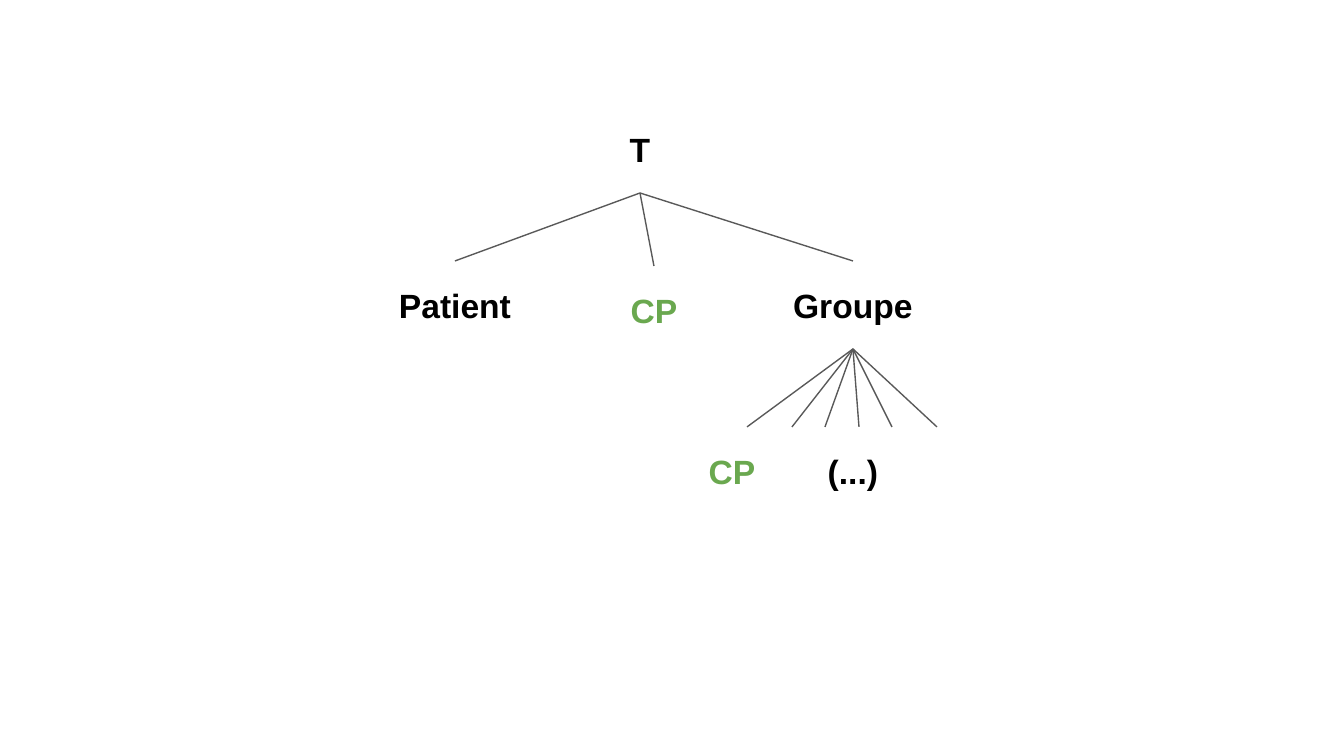
from dataclasses import dataclass

from lxml.etree import SubElement
from pptx import Presentation
from pptx.dml.color import RGBColor
from pptx.enum.shapes import MSO_CONNECTOR as Connector
from pptx.enum.text import MSO_ANCHOR as Anchor, PP_ALIGN as Align
from pptx.oxml.ns import qn
from pptx.shapes.autoshape import Shape
from pptx.shapes.connector import Connector as ConnectorShape
from pptx.slide import Slide
from pptx.util import Emu, Pt

EMU_PER_PX = 914400 / 134.4
SLIDE_WIDTH, SLIDE_HEIGHT = 1344, 756
NODE_WIDTH, NODE_HEIGHT, NODE_INSET = 154, 88, 13
TOP, BOTTOM = 0, 2  # connection sites
COLORS = {"text": "000000", "accent": "6AA84F", "line": "595959"}


@dataclass(frozen=True)
class Node:
    label: str
    center: int
    top: int
    color: str = "text"

    @property
    def bottom(self) -> int:
        return self.top + NODE_HEIGHT


def px(length: int) -> Emu:
    return Emu(round(length * EMU_PER_PX))


def color(name: str) -> RGBColor:
    return RGBColor.from_string(COLORS[name])


def draw_node(slide: Slide, node: Node) -> Shape:
    shape = slide.shapes.add_textbox(
        px(node.center - NODE_WIDTH // 2), px(node.top), px(NODE_WIDTH), px(NODE_HEIGHT))
    frame = shape.text_frame
    frame.word_wrap = True
    frame.vertical_anchor = Anchor.MIDDLE
    frame.margin_left = frame.margin_right = px(NODE_INSET)
    frame.margin_top = frame.margin_bottom = px(NODE_INSET)
    paragraph = frame.paragraphs[0]
    paragraph.alignment = Align.CENTER
    run = paragraph.add_run()
    run.text = node.label
    run.font.name = "Arial"
    run.font.size = Pt(18)
    run.font.bold = True
    run.font.color.rgb = color(node.color)
    return shape


def draw_branch(slide: Slide, parent: Node, parent_shape: Shape,
                end_x: int, end_y: int) -> ConnectorShape:
    branch = slide.shapes.add_connector(
        Connector.STRAIGHT, px(parent.center), px(parent.bottom), px(end_x), px(end_y))
    branch.line.color.rgb = color("line")
    branch.line.width = Pt(0.75)
    SubElement(branch._element.spPr, qn("a:effectLst"))
    branch.begin_connect(parent_shape, BOTTOM)
    return branch


# Tree content
ROOT = Node("T", 640, 105)
GROUP = Node("Groupe", 853, 261)
CHILDREN = [Node("Patient", 455, 261), Node("CP", 654, 266, "accent"), GROUP]
LEAVES = [Node("CP", 732, 427, "accent"), Node("(...)", 853, 427)]
FAN_ENDS = [747, 792, 825, 859, 892, 937]


def main() -> None:
    presentation = Presentation()
    presentation.slide_width = px(SLIDE_WIDTH)
    presentation.slide_height = px(SLIDE_HEIGHT)
    slide = presentation.slides.add_slide(presentation.slide_layouts[6])

    # Labels
    shapes = {node: draw_node(slide, node) for node in [ROOT, *CHILDREN, *LEAVES]}

    # Branches from the root to its children
    for child in CHILDREN:
        branch = draw_branch(slide, ROOT, shapes[ROOT], child.center, child.top)
        branch.end_connect(shapes[child], TOP)

    # Fan below the group
    for end_x in FAN_ENDS:
        draw_branch(slide, GROUP, shapes[GROUP], end_x, LEAVES[0].top)

    presentation.save("out.pptx")


if __name__ == "__main__":
    main()
